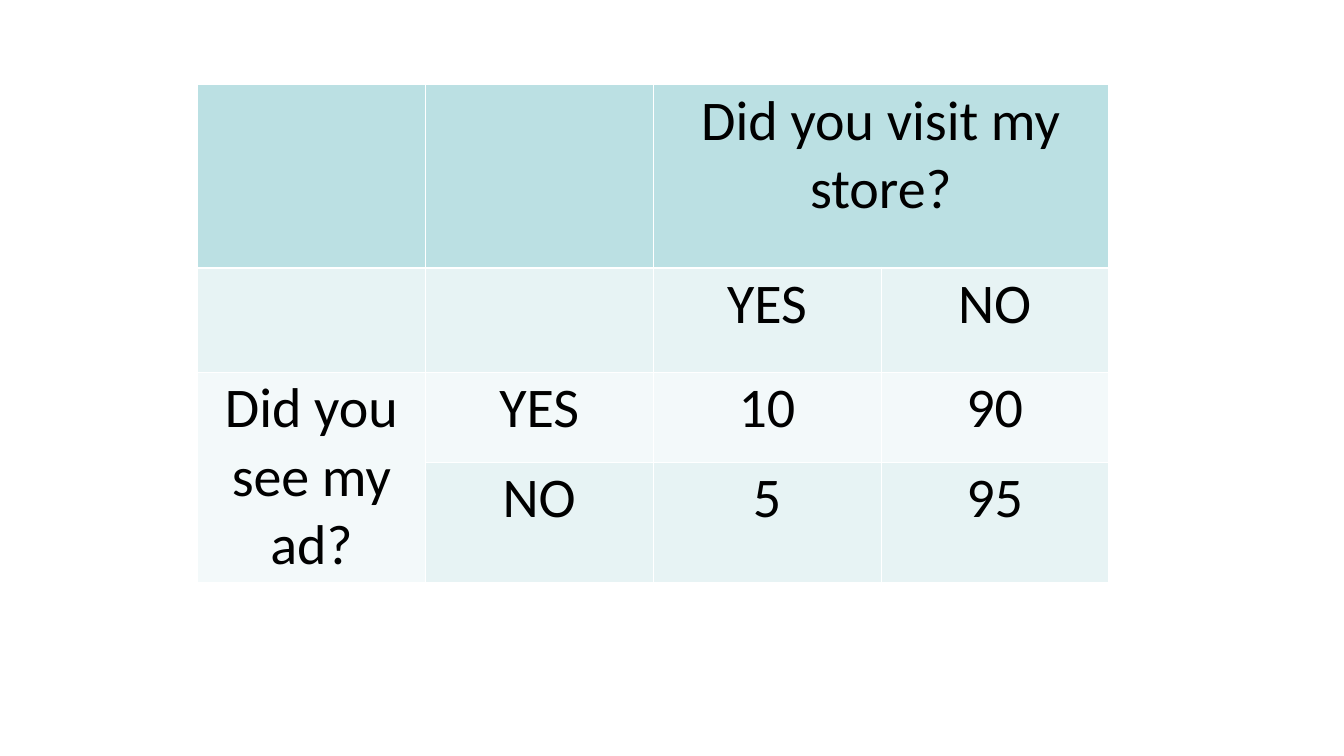
from lxml.etree import SubElement
from pptx import Presentation
from pptx.dml.color import RGBColor
from pptx.enum.text import PP_ALIGN
from pptx.oxml.ns import qn
from pptx.util import Inches, Pt

HEADER, BAND, PALE, WHITE, BLACK = "BBE0E3", "E7F3F4", "F3F9FA", "FFFFFF", "000000"
ROW_HEIGHTS = [3.64, 2.07, 1.79, 2.07]
ROW_FILLS = [HEADER, BAND, PALE, BAND]
ANSWERS = [
    ["", "", "Did you visit my store?", ""],
    ["", "", "YES", "NO"],
    ["Did you see my ad?", "YES", "10", "90"],
    ["", "NO", "5", "95"],
]


def color(value):
    """Turn a hex string into a colour."""
    return RGBColor.from_string(value)


def write(frame, text, size=80, font="Calibri", ink=BLACK, align=PP_ALIGN.CENTER):
    """Put one formatted paragraph into a text frame."""
    para = frame.paragraphs[0]
    para.alignment = align
    span = para.add_run()
    span.text = text
    span.font.size = Pt(size)
    span.font.name = font
    span.font.bold = False
    span.font.color.rgb = color(ink)


def set_border(cell, side, width, ink=WHITE):
    """Draw one side (L, R, T or B) of a cell."""
    properties = cell._tc.get_or_add_tcPr()
    line = SubElement(properties, qn(f"a:ln{side}"), w=str(Pt(width)))
    fill = SubElement(line, qn("a:solidFill"))
    SubElement(fill, qn("a:srgbClr"), val=ink)


def add_answer_table(page, left, top, width):
    """Place the cross table of ad views against store visits."""
    row_count, column_count = len(ANSWERS), len(ANSWERS[0])
    table = page.shapes.add_table(
        row_count, column_count, Inches(left), Inches(top),
        Inches(width), Inches(sum(ROW_HEIGHTS)),
    ).table
    table.first_row = table.horz_banding = False
    for column in table.columns:
        column.width = Inches(width / column_count)
    for r, (height, fill, texts) in enumerate(zip(ROW_HEIGHTS, ROW_FILLS, ANSWERS)):
        table.rows[r].height = Inches(height)
        for c, text in enumerate(texts):
            cell = table.cell(r, c)
            for side in "LRTB":
                beside_header = (r, side) in [(0, "B"), (1, "T")]
                set_border(cell, side, 3 if beside_header else 1)
            cell.fill.solid()
            cell.fill.fore_color.rgb = color(fill)
            if text:
                write(cell.text_frame, text)
    table.cell(0, 2).merge(table.cell(0, 3))
    table.cell(2, 0).merge(table.cell(3, 0))


def main():
    """Build and save the deck."""
    deck = Presentation()
    deck.slide_width, deck.slide_height = Inches(26.67), Inches(15)
    page = deck.slides.add_slide(deck.slide_layouts[6])
    add_answer_table(page, 3.92, 1.67, 18.08)
    deck.save("out.pptx")


if __name__ == "__main__":
    main()
